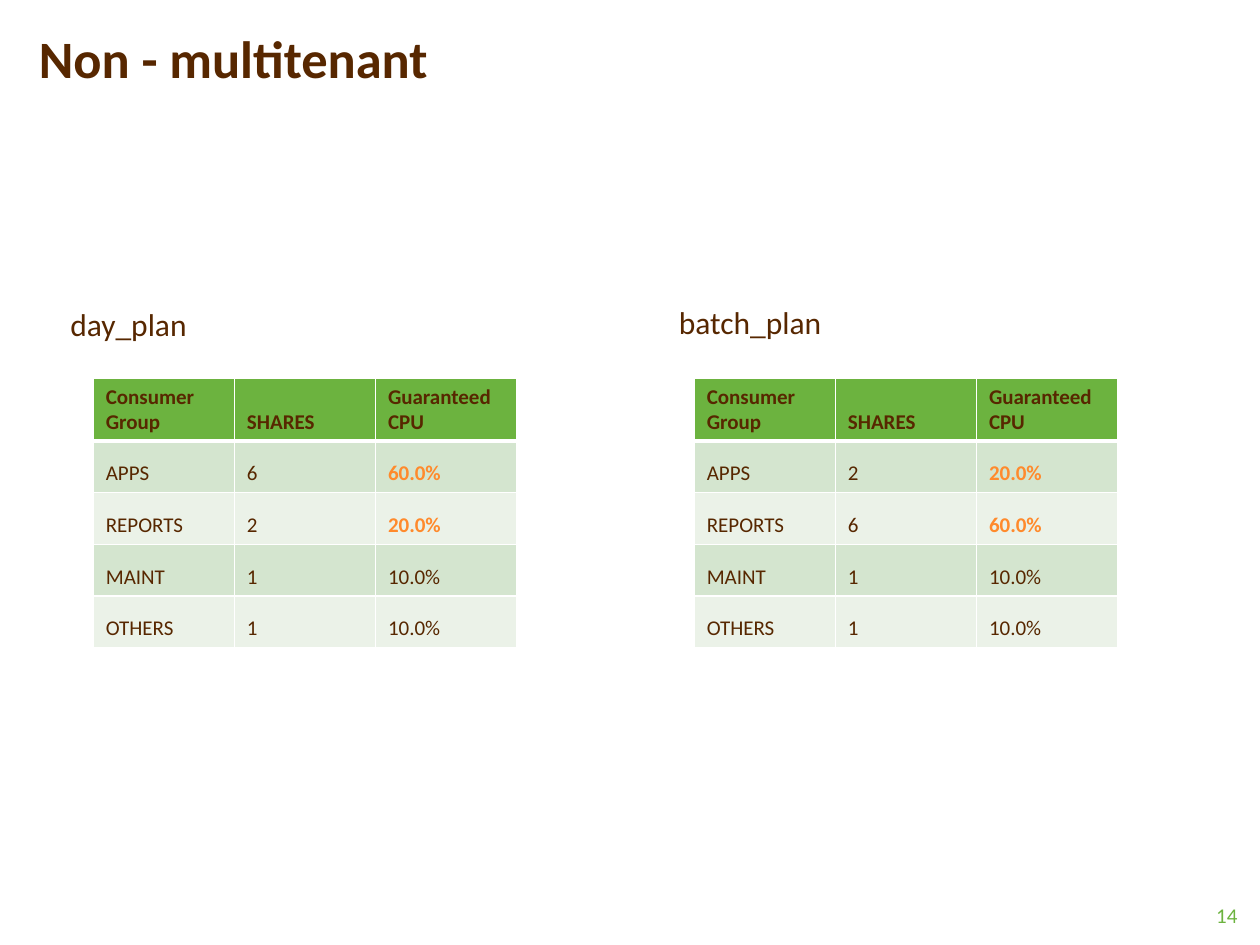
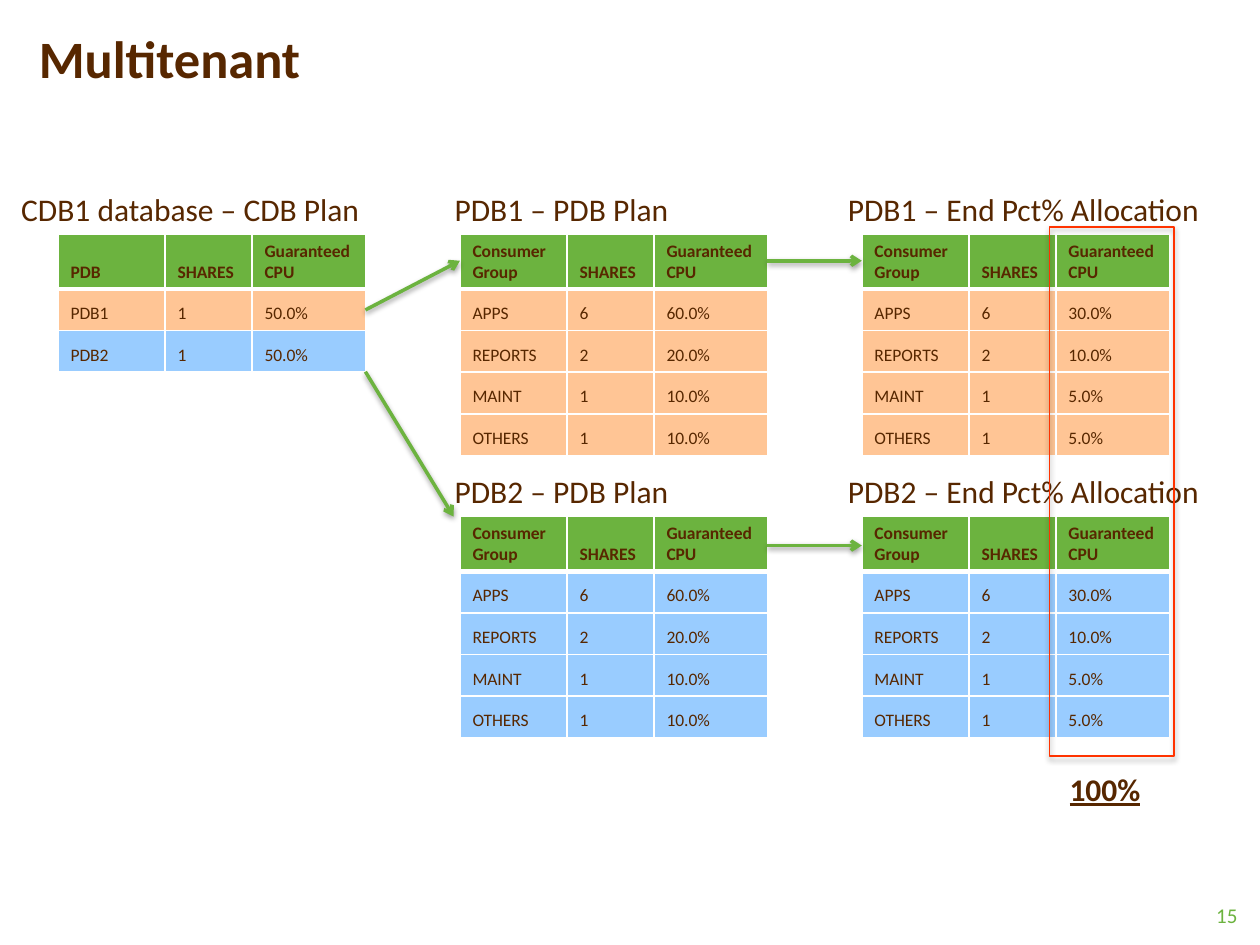
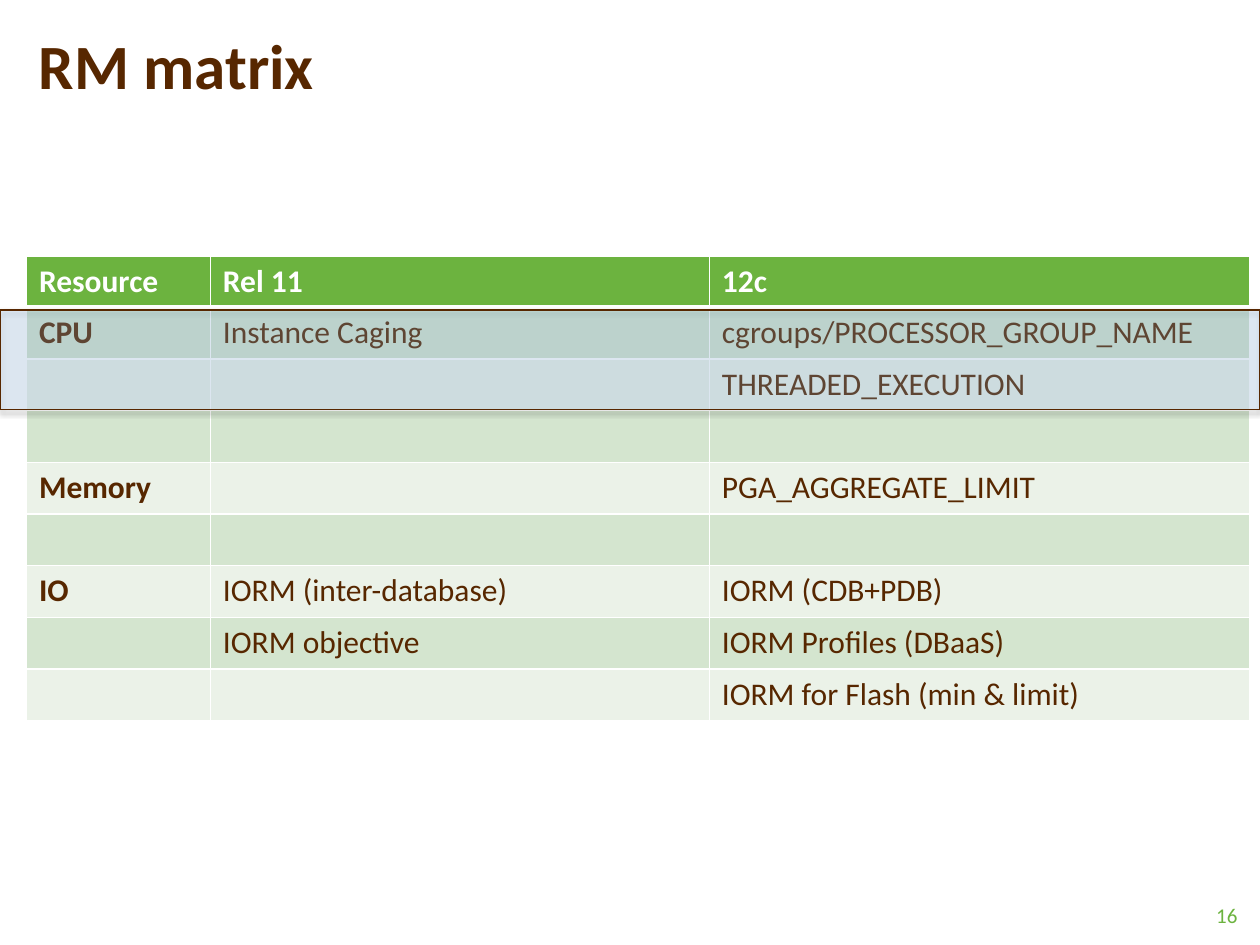
from copy import deepcopy
from itertools import cycle, islice

from lxml.etree import SubElement
from pptx import Presentation
from pptx.dml.color import RGBColor
from pptx.enum.shapes import MSO_CONNECTOR, MSO_SHAPE
from pptx.enum.text import MSO_ANCHOR, PP_ALIGN
from pptx.oxml.ns import qn
from pptx.util import Inches, Pt

BROWN = RGBColor(0x57, 0x27, 0x00)
GREEN = RGBColor(0x6C, 0xB3, 0x3F)
WHITE = RGBColor(0xFF, 0xFF, 0xFF)
ORANGE = RGBColor(0xFF, 0x8A, 0x2C)
RED = RGBColor(0xFF, 0x33, 0x00)
MID_GREEN = RGBColor(0xD4, 0xE5, 0xCF)
PALE_GREEN = RGBColor(0xEB, 0xF2, 0xE8)
PEACH = RGBColor(0xFF, 0xC5, 0x95)
SKY = RGBColor(0x99, 0xCC, 0xFF)

FONT = "Calibri"
WIDTH, HEIGHT = 10, 7.5
FIRST_PAGE = 14
GUARANTEE = ["SHARES", "Guaranteed\nCPU"]
GROUP_HEADER = ["Consumer \nGroup"] + GUARANTEE
GROUPS = ["APPS", "REPORTS", "MAINT", "OTHERS"]
DAY_SHARES = [6, 2, 1, 1]
BATCH_SHARES = [2, 6, 1, 1]
PLAN_LEFT, PLAN_PITCH = 0.46, 3.19
PLAN_TOP, PLAN_DROP = 1.86, 2.24
PLAN_COLUMNS = [0.85, 0.69, 0.9]
PLAN_WIDTH = sum(PLAN_COLUMNS)
LABEL_HEIGHT = 0.4


def write(paragraph, text, size, color=BROWN, **extra):
    paragraph.text = text
    formats = {"name": FONT, "size": Pt(size), "bold": False, **extra}
    for run in paragraph.runs:
        for attribute, value in formats.items():
            setattr(run.font, attribute, value)
        run.font.color.rgb = color
    for line_break in paragraph._p.findall(qn("a:br")):
        line_break.append(deepcopy(paragraph.runs[0]._r.rPr))


def add_label(slide, text, left, top, width, height=LABEL_HEIGHT, size=18, wrap=False,
              anchor=MSO_ANCHOR.TOP, align=PP_ALIGN.LEFT, **extra):
    frame = slide.shapes.add_textbox(*map(Inches, (left, top, width, height))).text_frame
    frame.word_wrap = wrap
    frame.vertical_anchor = anchor
    frame.paragraphs[0].alignment = align
    write(frame.paragraphs[0], text, size, **extra)


def start_slide(deck, title, title_size=30):
    slide = deck.slides.add_slide(deck.slide_layouts[6])
    add_label(slide, title, 0.21, 0.16, 6.57, 0.89, title_size, wrap=True, bold=True)
    add_label(slide, str(FIRST_PAGE + len(deck.slides) - 1), 9.31, 7.06, 0.61, size=12,
              wrap=True, anchor=MSO_ANCHOR.MIDDLE, align=PP_ALIGN.RIGHT, color=GREEN)
    return slide


def add_borders(cell, **points):
    properties = cell._tc.get_or_add_tcPr()
    for side in "LRTB":
        edge = SubElement(properties, qn(f"a:ln{side}"), w=str(Pt(points.get(side, 1))))
        SubElement(SubElement(edge, qn("a:solidFill")), qn("a:srgbClr"), val=str(WHITE))


def add_grid(slide, left, top, columns, header_height, row_height, rows, fills, size,
             anchor=MSO_ANCHOR.BOTTOM, header_color=BROWN, accents={}):
    total = header_height + row_height * (len(rows) - 1)
    table = slide.shapes.add_table(
        len(rows), len(columns), *map(Inches, (left, top, sum(columns), total))).table
    table.horz_banding = False
    for column, width in zip(table.columns, columns):
        column.width = Inches(width)
    row_fills = [GREEN, *islice(cycle(fills), len(rows) - 1)]
    for r, (row, texts) in enumerate(zip(table.rows, rows)):
        row.height = Inches(row_height if r else header_height)
        for c, (cell, text) in enumerate(zip(row.cells, texts)):
            add_borders(cell, T=3 if r == 1 else 1, B=1 if r else 3)
            cell.fill.solid()
            cell.fill.fore_color.rgb = row_fills[r]
            cell.vertical_anchor = anchor
            style = accents.get((r, c), {}) if r else {"bold": True, "color": header_color}
            if text:
                write(cell.text_frame.paragraphs[0], text, size, **style)


def group_rows(shares, portion=100):
    return [GROUP_HEADER] + [
        [group, str(share), f"{portion * share / sum(shares):.1f}%"]
        for group, share in zip(GROUPS, shares)]


def plan_place(column, row=0):
    return PLAN_LEFT + column * PLAN_PITCH, PLAN_TOP + row * PLAN_DROP


def add_plan(slide, column, row, rows, fills):
    add_grid(slide, *plan_place(column, row), PLAN_COLUMNS, 0.43, 0.33, rows, fills, 10)


def add_arrow(slide, *ends):
    arrow = slide.shapes.add_connector(MSO_CONNECTOR.STRAIGHT, *map(Inches, ends))
    arrow.line.color.rgb = GREEN
    arrow.line.width = Pt(2)
    SubElement(arrow.line._get_or_add_ln(), qn("a:tailEnd"), type="arrow")


def add_frame(slide, left, top, width, height, line_color, line_width, tint=None, opacity=20):
    frame = slide.shapes.add_shape(
        MSO_SHAPE.RECTANGLE, *map(Inches, (left, top, width, height)))
    frame.line.color.rgb = line_color
    frame.line.width = Pt(line_width)
    if tint is None:
        frame.fill.background()
        return
    frame.fill.solid()
    frame.fill.fore_color.rgb = tint
    color = frame._element.spPr.find(qn("a:solidFill"))[0]
    SubElement(color, qn("a:alpha"), val=str(opacity * 1000))


def build_non_multitenant(deck):
    slide = start_slide(deck, "Non - multitenant")
    highlights = {(r, 2): {"color": ORANGE, "bold": True} for r in (1, 2)}
    for left, shares in ((0.74, DAY_SHARES), (5.51, BATCH_SHARES)):
        add_grid(slide, left, 3, [1.12] * 3, 0.49, 0.41, group_rows(shares),
                 [MID_GREEN, PALE_GREEN], 12, accents=highlights)
    add_label(slide, "day_plan", 0.46, 2.37, 1.14)
    add_label(slide, "batch_plan", 5.29, 2.36, 1.35)


def build_multitenant(deck):
    slide = start_slide(deck, "Multitenant")
    databases = [["PDB"] + GUARANTEE, ["PDB1", "1", "50.0%"], ["PDB2", "1", "50.0%"]]
    add_plan(slide, 0, 0, databases, [PEACH, SKY])
    add_label(slide, "CDB1 database – CDB Plan", 0.07, PLAN_TOP - LABEL_HEIGHT, 2.92)
    for row, (database, fill) in enumerate((("PDB1", PEACH), ("PDB2", SKY))):
        label_top = plan_place(0, row)[1] - LABEL_HEIGHT
        add_plan(slide, 1, row, group_rows(DAY_SHARES), [fill])
        add_plan(slide, 2, row, group_rows(DAY_SHARES, 50), [fill])
        add_label(slide, f"{database} – PDB Plan", 3.51, label_top, 1.92)
        add_label(slide, f"{database} – End Pct% Allocation", 6.63, label_top, 3.02)
    cdb_right = PLAN_LEFT + PLAN_WIDTH
    pdb_left, end_left = plan_place(1)[0], plan_place(2)[0]
    add_arrow(slide, cdb_right, 2.95, 3.6, 4.1)
    add_arrow(slide, cdb_right, 2.46, pdb_left, 2.07)
    for level in (2.07, 4.33):
        add_arrow(slide, pdb_left + PLAN_WIDTH, level, end_left, level)
    add_frame(slide, 8.33, 1.8, 0.99, 4.2, RED, 1)
    add_label(slide, "100%", 8.39, 6.06, 0.77, wrap=True, bold=True, underline=True)


def build_matrix(deck):
    slide = start_slide(deck, "RM matrix", 36)
    resources = [
        ["Resource", "Rel 11", "12c"],
        ["CPU", "Instance Caging", "cgroups/PROCESSOR_GROUP_NAME"],
        ["", "", "THREADED_EXECUTION"],
        ["", "", ""],
        ["Memory", "", "PGA_AGGREGATE_LIMIT"],
        ["", "", ""],
        ["IO", "IORM (inter-database)", "IORM (CDB+PDB)"],
        ["", "IORM objective", "IORM Profiles (DBaaS)"],
        ["", "", "IORM for Flash (min & limit)"],
    ]
    resource_names = {(r, 0): {"bold": True} for r in range(1, len(resources))}
    add_grid(slide, 0.21, 2.03, [1.46, 3.96, 4.29], 0.41, 0.41, resources,
             [MID_GREEN, PALE_GREEN], 18, MSO_ANCHOR.TOP, WHITE, resource_names)
    add_frame(slide, 0, 2.46, WIDTH, 0.79, BROWN, 0.75, SKY)


def main():
    deck = Presentation()
    deck.slide_width, deck.slide_height = Inches(WIDTH), Inches(HEIGHT)
    for build in (build_non_multitenant, build_multitenant, build_matrix):
        build(deck)
    deck.save("out.pptx")


if __name__ == "__main__":
    main()
